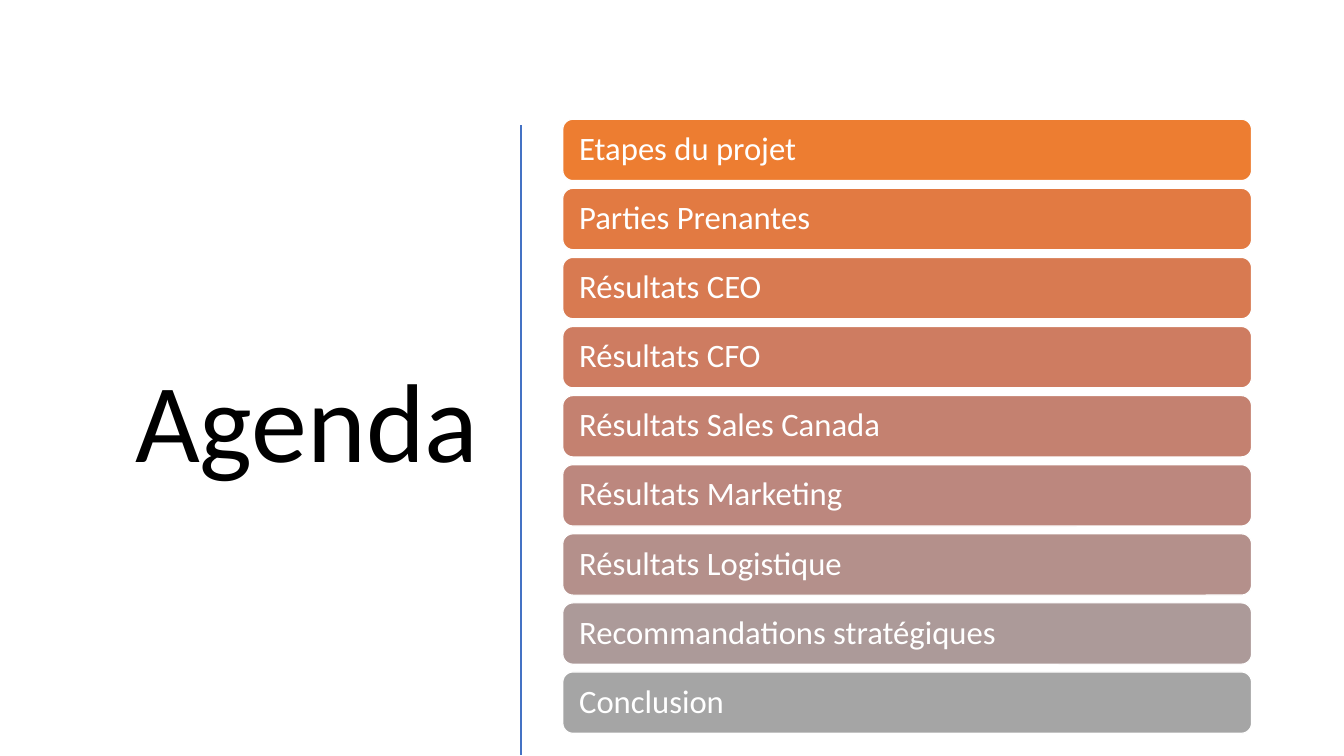
from lxml.etree import SubElement
from pptx import Presentation
from pptx.dml.color import RGBColor as Rgb
from pptx.enum.shapes import MSO_CONNECTOR as Connector, MSO_SHAPE as Shape
from pptx.enum.text import MSO_ANCHOR as Anchor, MSO_AUTO_SIZE as AutoSize, PP_ALIGN as Align
from pptx.oxml.ns import qn
from pptx.util import Inches, Pt

FONT = "Calibri"
COLORS = {"text": "000000", "white": "FFFFFF", "rule": "4472C4"}

# Agenda entries, each with its step of the orange-to-grey range
AGENDA = [
    ("Etapes du projet", "ED7D31"),
    ("Parties Prenantes", "E27A42"),
    ("Résultats CEO", "D87A51"),
    ("Résultats CFO", "CE7C61"),
    ("Résultats Sales Canada", "C48170"),
    ("Résultats Marketing", "BC877E"),
    ("Résultats Logistique", "B4908B"),
    ("Recommandations stratégiques", "AC9A99"),
    ("Conclusion", "A5A5A5"),
]

# Grid of the agenda bars, in inches
BAR_LEFT, BAR_TOP = 6.7, 1.42
BAR_WIDTH, BAR_HEIGHT = 8.2, 0.73
ROW_PITCH = (8 - BAR_TOP) / (len(AGENDA) - 1)


def write_text(shape, text, size, color, align=Align.LEFT, side=0.1, edge=0.05):
    frame = shape.text_frame
    frame.word_wrap = True
    frame.auto_size = AutoSize.NONE
    frame.vertical_anchor = Anchor.MIDDLE
    frame.margin_left = frame.margin_right = Inches(side)
    frame.margin_top = frame.margin_bottom = Inches(edge)
    para = frame.paragraphs[0]
    para.alignment = align
    para.line_spacing = 0.9
    para.space_before = Pt(0)
    span = para.add_run()
    span.text = text
    span.font.name = FONT
    span.font.size = Pt(size)
    span.font.color.rgb = Rgb.from_string(color)


def place_title(page, text):
    title = page.shapes.title
    title.left, title.top = Inches(0.63), Inches(1.41)
    title.width, title.height = Inches(5.17), Inches(7.33)
    write_text(title, text, 96, COLORS["text"], align=Align.RIGHT)


def add_rule(page, x, top, bottom):
    rule = page.shapes.add_connector(
        Connector.STRAIGHT, Inches(x), Inches(top), Inches(x), Inches(bottom))
    rule.line.color.rgb = Rgb.from_string(COLORS["rule"])
    rule.line.width = Pt(2)
    SubElement(rule._element.spPr, qn("a:effectLst"))


def add_bar(page, row, text, fill):
    bar = page.shapes.add_shape(
        Shape.ROUNDED_RECTANGLE, Inches(BAR_LEFT), Inches(BAR_TOP + row * ROW_PITCH),
        Inches(BAR_WIDTH), Inches(BAR_HEIGHT))
    bar.shadow.inherit = False
    bar.fill.solid()
    bar.fill.fore_color.rgb = Rgb.from_string(fill)
    bar.line.color.rgb = Rgb.from_string(COLORS["white"])
    bar.line.width = Pt(1)
    write_text(bar, text, 28, COLORS["white"], side=0.16, edge=0.12)


def main():
    deck = Presentation()
    deck.slide_width, deck.slide_height = Inches(16), Inches(9)
    page = deck.slides.add_slide(deck.slide_layouts[5])

    # Title on the left, vertical rule beside it
    place_title(page, "Agenda")
    add_rule(page, 6.2, 1.49, 8.99)

    # Agenda bars on the right
    for row, (text, fill) in enumerate(AGENDA):
        add_bar(page, row, text, fill)

    deck.save("out.pptx")


if __name__ == "__main__":
    main()
